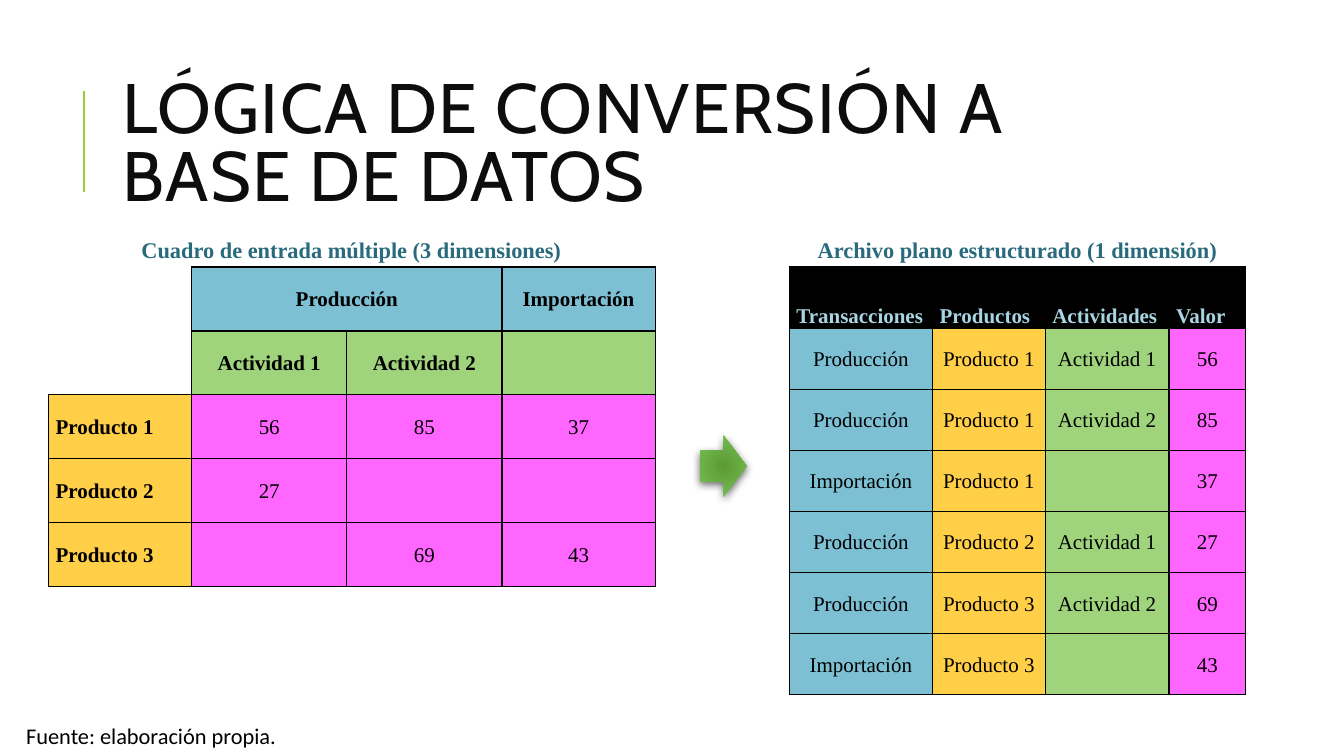
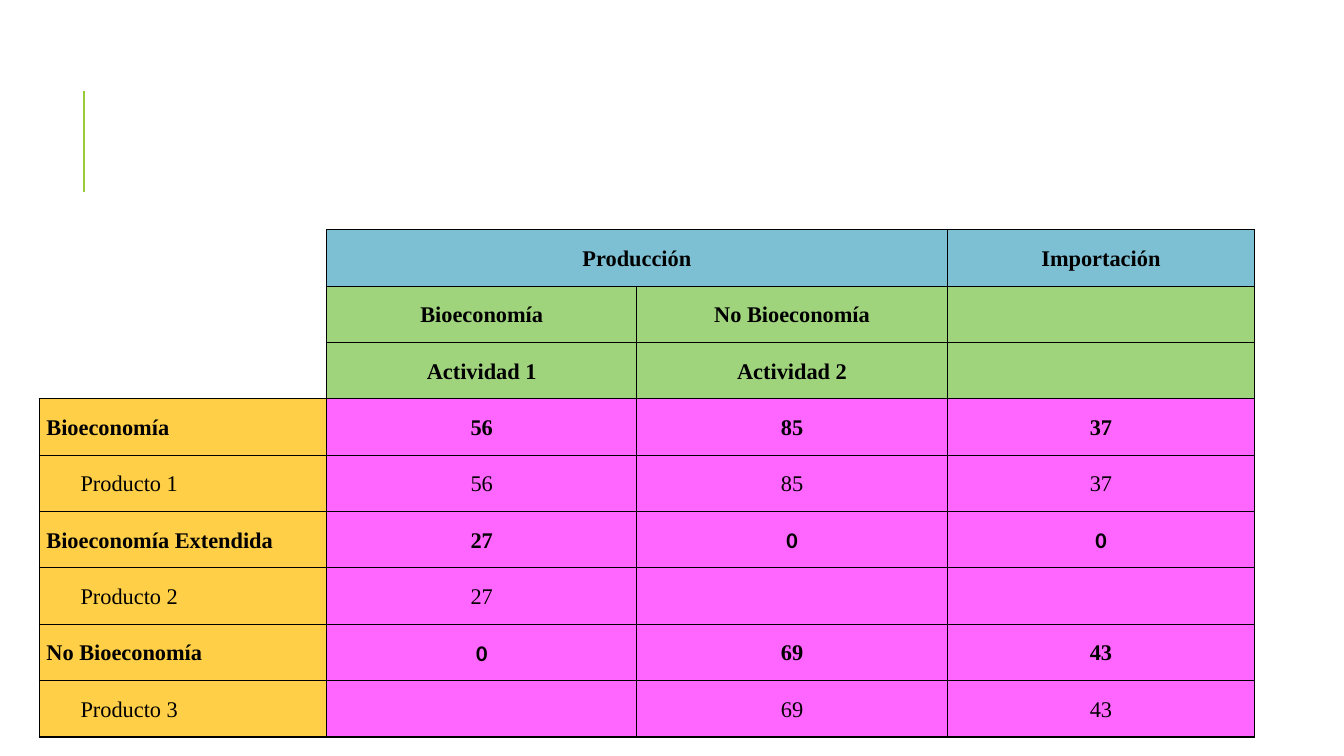
import lxml.etree
import pptx
import pptx.dml.color
import pptx.enum.shapes
import pptx.enum.text
import pptx.oxml
import pptx.oxml.ns
import pptx.util

Cm = pptx.util.Cm
Pt = pptx.util.Pt
ALIGN = pptx.enum.text.PP_ALIGN
ANCHOR = pptx.enum.text.MSO_ANCHOR
qn = pptx.oxml.ns.qn
NS = pptx.oxml.ns.nsdecls("a")

COLORS = {
    "ink": "000000",
    "title": "0D0D0D",
    "accent": "99CB38",
    "caption": "296A7D",
    "header": "A8D5E2",
    "transaction": "7DC0D4",
    "product": "FFCF47",
    "activity": "9FD47D",
    "value": "FF66FF",
    "arrow_dark": "5C9A33",
    "arrow_light": "79C356",
}
SERIF = "Times New Roman"
SANS = "Calibri"
NO_TABLE_STYLE = "{2D5ABB26-0587-4C30-8999-92F81FD0307C}"


def rgb(name):
    return pptx.dml.color.RGBColor.from_string(COLORS[name])


class Deck:
    """Hold the shared style and the current slide, and draw its elements."""

    def __init__(self):
        self.prs = pptx.Presentation()
        self.prs.slide_width = Cm(33.87)
        self.prs.slide_height = Cm(19.05)
        self.slide = None

    def new_slide(self):
        self.slide = self.prs.slides.add_slide(self.prs.slide_layouts[6])
        bar = self.slide.shapes.add_connector(
            pptx.enum.shapes.MSO_CONNECTOR.STRAIGHT, Cm(2.11), Cm(4.83), Cm(2.11), Cm(2.29))
        bar.line.color.rgb = rgb("accent")
        bar.line.width = Pt(1.5)
        lxml.etree.SubElement(bar._element.spPr, qn("a:effectLst"))

    def paragraph(self, p, text, size, font=SERIF, color="ink", bold=False,
                  align=ALIGN.LEFT, spacing=1.07):
        p.text = text
        p.alignment = align
        p.line_spacing = spacing
        p.font.size = Pt(size)
        p.font.name = font
        p.font.bold = bold
        p.font.color.rgb = rgb(color)

    def text(self, box, text, size, anchor=ANCHOR.TOP, **style):
        sp = self.slide.shapes.add_textbox(*map(Cm, box))
        tf = sp.text_frame
        tf.word_wrap = True
        tf.vertical_anchor = anchor
        p = tf.paragraphs[0]
        self.paragraph(p, text, size, **style)
        return p

    def title(self, text):
        p = self.text((2.84, 1.63, 27, 4.17), text, 50, ANCHOR.MIDDLE,
                      font="Cabin", color="title", spacing=0.8)
        p.runs[0]._r.get_or_add_rPr().set("spc", "100")

    def caption(self, box, text):
        self.text(box, text, 16, color="caption", bold=True, align=ALIGN.CENTER)

    def arrow(self, box):
        sp = self.slide.shapes.add_shape(
            pptx.enum.shapes.MSO_SHAPE.RIGHT_ARROW, *map(Cm, box))
        sp.line.fill.background()
        sp.fill.background()
        spPr = sp._element.spPr
        gradient = pptx.oxml.parse_xml(
            f'<a:gradFill {NS} rotWithShape="1"><a:gsLst>'
            f'<a:gs pos="0"><a:srgbClr val="{COLORS["arrow_dark"]}"/></a:gs>'
            f'<a:gs pos="100000"><a:srgbClr val="{COLORS["arrow_light"]}"/></a:gs>'
            '</a:gsLst><a:path path="circle"><a:fillToRect l="100000" t="100000" '
            'r="100000" b="100000"/></a:path></a:gradFill>')
        spPr.replace(spPr.find(qn("a:noFill")), gradient)
        spPr.append(pptx.oxml.parse_xml(
            f'<a:effectLst {NS}><a:outerShdw blurRad="{Pt(6)}" dist="{Pt(2)}" '
            f'dir="5400000" rotWithShape="0"><a:srgbClr val="{COLORS["ink"]}">'
            '<a:alpha val="60000"/></a:srgbClr></a:outerShdw></a:effectLst>'))

    def grid(self, left, top, widths, row_height, n_rows):
        frame = self.slide.shapes.add_table(
            n_rows, len(widths), Cm(left), Cm(top), Cm(sum(widths)), Cm(row_height * n_rows))
        table = frame.table
        table.first_row = table.horz_banding = False
        table._tbl.tblPr.find(qn("a:tableStyleId")).text = NO_TABLE_STYLE
        for column, width in zip(table.columns, widths):
            column.width = Cm(width)
        for row in table.rows:
            row.height = Cm(row_height)
        return table

    def cell(self, cell, text, fill, size, anchor=ANCHOR.MIDDLE, indent=0, **style):
        cell.margin_left = cell.margin_right = Cm(0.18)
        cell.margin_top = cell.margin_bottom = 0
        cell.vertical_anchor = anchor
        p = cell.text_frame.paragraphs[0]
        self.paragraph(p, text, size, **style)
        if indent:
            p._p.get_or_add_pPr().set("marL", str(Cm(indent)))
        if fill is None:
            cell.fill.background()
            return
        for side in "LRTB":
            cell._tc.get_or_add_tcPr().append(pptx.oxml.parse_xml(
                f'<a:ln{side} {NS} w="{Pt(1)}"><a:solidFill>'
                f'<a:srgbClr val="{COLORS["ink"]}"/></a:solidFill></a:ln{side}>'))
        cell.fill.solid()
        cell.fill.fore_color.rgb = rgb(fill)

    def cross_table(self, left, top, widths, row_height, size, heads, body, grouped=False):
        table = self.grid(left, top, widths, row_height, len(heads) + len(body))
        for r, texts in enumerate(heads + body):
            is_head = r < len(heads)
            is_detail = grouped and texts[0].startswith("Producto")
            for c, text in enumerate(texts):
                is_label = c == 0
                if is_head:
                    fill = None if is_label else "activity" if r else "transaction"
                else:
                    fill = "product" if is_label else "value"
                bold = is_head or (not is_detail if grouped else is_label)
                self.cell(table.cell(r, c), text, fill, size, bold=bold,
                          font=SANS if text == "0" else SERIF,
                          align=ALIGN.LEFT if is_label else ALIGN.CENTER,
                          indent=0.86 if is_label and is_detail else 0)
        table.cell(0, 1).merge(table.cell(0, 2))

    def flat_table(self, left, top, widths, row_height, size, head, body):
        table = self.grid(left, top, widths, row_height, 1 + len(body))
        fills = ("transaction", "product", "activity", "value")
        for c, text in enumerate(head):
            self.cell(table.cell(0, c), text, "ink", size, ANCHOR.BOTTOM,
                      color="header", bold=True)
        for r, texts in enumerate(body, 1):
            for c, (text, fill) in enumerate(zip(texts, fills)):
                self.cell(table.cell(r, c), text, fill, size, align=ALIGN.CENTER)


def conversion_slide(deck):
    deck.new_slide()
    deck.title("LÓGICA DE CONVERSIÓN A BASE DE DATOS")
    deck.cross_table(
        1.22, 6.73, (3.61, 3.91, 3.91, 3.86), 1.61, 15,
        [("", "Producción", "", "Importación"),
         ("", "Actividad 1", "Actividad 2", "")],
        [("Producto 1", "56", "85", "37"),
         ("Producto 2", "27", "", ""),
         ("Producto 3", "", "69", "43")])
    deck.caption((1.22, 5.77, 15.27, 0.94), "Cuadro de entrada múltiple (3 dimensiones)")
    deck.text((0.41, 18.06, 14.15, 0.94), "Fuente: elaboración propia.", 16,
              font=SANS, spacing=1.0)
    deck.flat_table(
        19.89, 6.73, (3.61, 2.84, 3.12, 1.93), 1.54, 15,
        ("Transacciones", "Productos", "Actividades", "Valor"),
        [("Producción", "Producto 1", "Actividad 1", "56"),
         ("Producción", "Producto 1", "Actividad 2", "85"),
         ("Importación", "Producto 1", "", "37"),
         ("Producción", "Producto 2", "Actividad 1", "27"),
         ("Producción", "Producto 3", "Actividad 2", "69"),
         ("Importación", "Producto 3", "", "43")])
    deck.caption((19.89, 5.79, 11.5, 0.99), "Archivo plano estructurado (1 dimensión)")
    deck.arrow((17.65, 10.97, 1.17, 1.55))


def bioeconomy_slide(deck):
    deck.new_slide()
    deck.cross_table(
        0.99, 5.79, (7.24, 7.82, 7.82, 7.75), 1.42, 16,
        [("", "Producción", "", "Importación"),
         ("", "Bioeconomía", "No Bioeconomía", ""),
         ("", "Actividad 1", "Actividad 2", "")],
        [("Bioeconomía", "56", "85", "37"),
         ("Producto 1", "56", "85", "37"),
         ("Bioeconomía Extendida", "27", "0", "0"),
         ("Producto 2", "27", "", ""),
         ("No Bioeconomía", "0", "69", "43"),
         ("Producto 3", "", "69", "43")],
        grouped=True)


def main():
    deck = Deck()
    conversion_slide(deck)
    bioeconomy_slide(deck)
    deck.prs.save("out.pptx")


if __name__ == "__main__":
    main()
